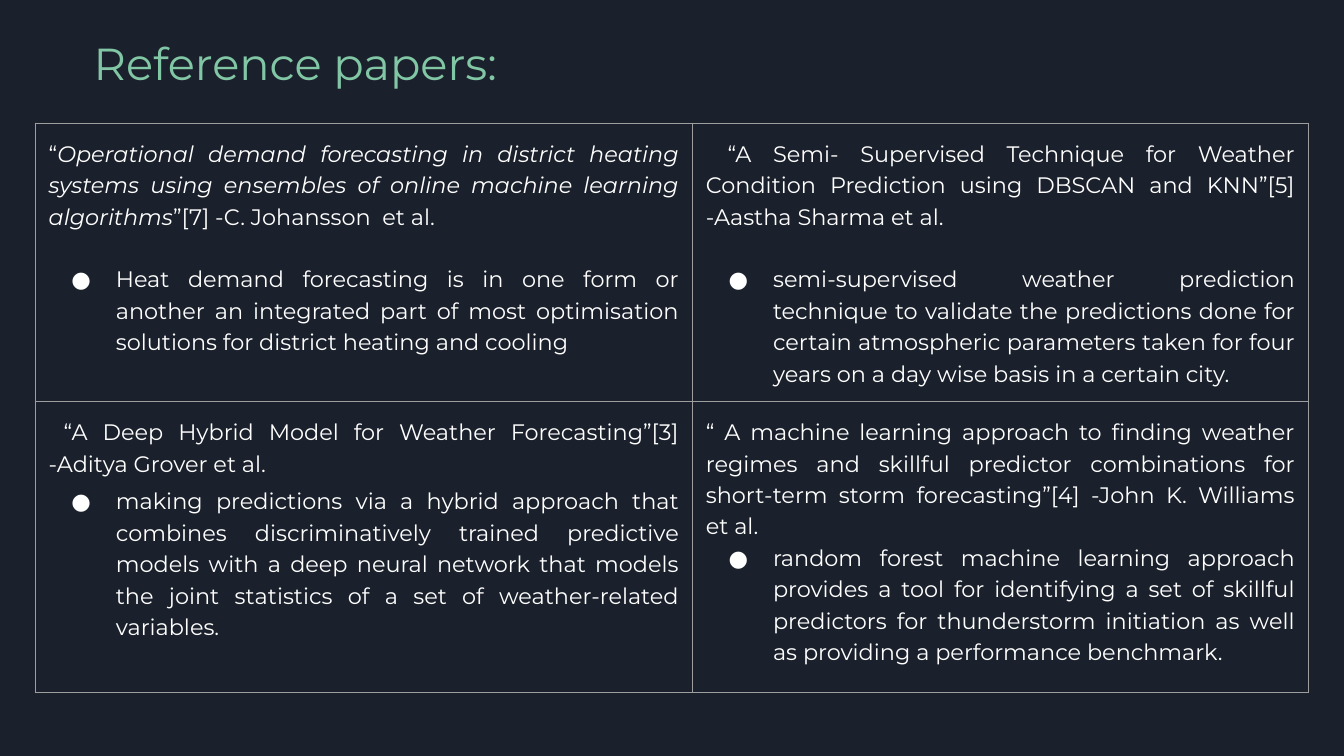
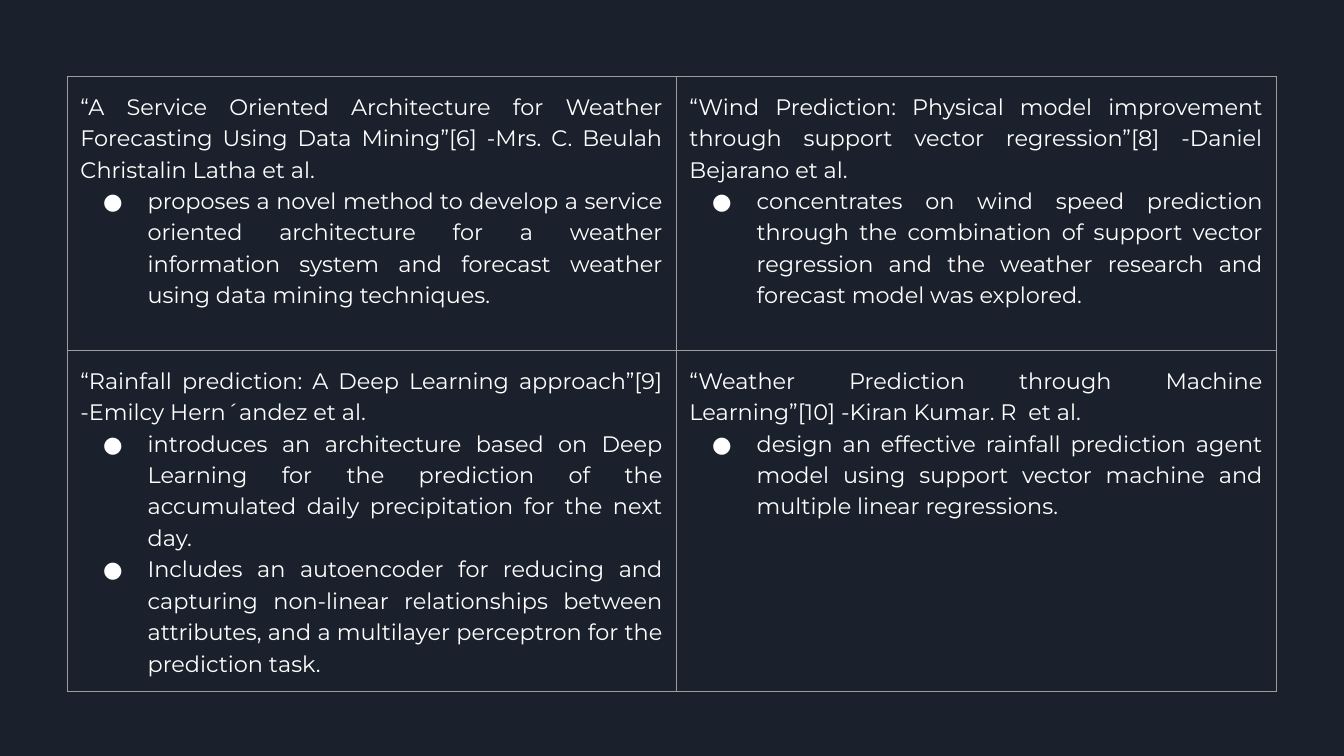
from dataclasses import dataclass

from pptx import Presentation
from pptx.dml.color import RGBColor
from pptx.enum.text import MSO_ANCHOR, PP_ALIGN
from pptx.oxml.ns import qn
from pptx.util import Cm, Pt
from lxml.etree import SubElement

FONT = "Montserrat"
BACKGROUND = "1B212C"
TITLE_COLOR = "82C7A5"
TEXT_COLOR = "FFFFFF"
BORDER_COLOR = "9E9E9E"
MARGIN = Cm(0.25)


@dataclass
class Paper:
    """A cited paper with its key points."""

    citation: str
    points: list
    italic_title: str = ""
    gap: float = 0


HEATING_TITLE = ("Operational demand forecasting in district heating systems using "
                 "ensembles of online machine learning algorithms")

FIRST_PAPERS = [
    [
        Paper(f"“{HEATING_TITLE}”[7] -C. Johansson  et al. ",
              ["Heat demand forecasting is in one form or another an integrated part of "
               "most optimisation solutions for district heating and cooling "],
              HEATING_TITLE, 16.8),
        Paper(" “A Semi- Supervised Technique for Weather Condition Prediction using "
              "DBSCAN and KNN”[5] -Aastha Sharma et al.",
              ["semi-supervised weather prediction technique to validate the predictions "
               "done for certain atmospheric parameters taken for four years on a day "
               "wise basis in a certain city."],
              gap=16.8),
    ],
    [
        Paper(" “A Deep Hybrid Model for Weather Forecasting”[3] -Aditya Grover et al.",
              ["making predictions via a hybrid approach that combines discriminatively "
               "trained predictive models with a deep neural network that models the "
               "joint statistics of a set of weather-related variables."],
              gap=3.5),
        Paper("“ A machine learning approach to finding weather regimes and skillful "
              "predictor combinations for short-term storm forecasting”[4] "
              "-John K. Williams et al.",
              ["random forest machine learning approach provides a tool for identifying "
               "a set of skillful predictors for thunderstorm initiation as well as "
               "providing a performance benchmark."]),
    ],
]

SECOND_PAPERS = [
    [
        Paper("“A Service Oriented Architecture for Weather Forecasting Using Data "
              "Mining”[6] -Mrs. C. Beulah Christalin Latha et al.",
              ["proposes a novel method to develop a service oriented architecture for a "
               "weather information system and forecast weather using data mining "
               "techniques."]),
        Paper("“Wind Prediction: Physical model improvement through support vector "
              "regression”[8] -Daniel Bejarano et al.",
              ["concentrates on wind speed prediction through the combination of support "
               "vector regression and the weather research and forecast model was "
               "explored."]),
    ],
    [
        Paper("“Rainfall prediction: A Deep Learning approach”[9] "
              "-Emilcy Hern´andez et al.",
              ["introduces an architecture based on Deep Learning for the prediction of "
               "the accumulated daily precipitation for the next day. ",
               "Includes an autoencoder for reducing and capturing non-linear "
               "relationships between attributes, and a multilayer perceptron for the "
               "prediction task."]),
        Paper("“Weather Prediction through Machine Learning”[10] "
              "-Kiran Kumar. R  et al.",
              ["design an effective rainfall prediction agent model using support vector "
               "machine and multiple linear regressions."]),
    ],
]


def color(hex_value):
    """Turn a hex string into a colour."""
    return RGBColor.from_string(hex_value)


def format_run(run, size, hex_value, italic=False):
    """Give a run the deck font, a size and a colour."""
    run.font.name = FONT
    run.font.size = Pt(size)
    run.font.italic = italic
    run.font.color.rgb = color(hex_value)


def set_margins(target):
    """Set equal inner margins on a cell or text frame."""
    target.margin_left = target.margin_right = MARGIN
    target.margin_top = target.margin_bottom = MARGIN


def add_solid_color(parent, hex_value):
    """Append an RGB colour element."""
    SubElement(parent, qn("a:srgbClr"), val=hex_value)


def add_borders(cell):
    """Draw a thin line on all four sides of a cell."""
    properties = cell._tc.get_or_add_tcPr()
    for side in ("lnL", "lnR", "lnT", "lnB"):
        line = SubElement(properties, qn(f"a:{side}"), w=str(Pt(0.75)))
        add_solid_color(SubElement(line, qn("a:solidFill")), BORDER_COLOR)


def add_bullet(paragraph):
    """Give a paragraph a hanging round bullet."""
    properties = paragraph._p.get_or_add_pPr()
    properties.set("marL", str(Cm(1.27)))
    properties.set("indent", str(Cm(-0.84)))
    add_solid_color(SubElement(properties, qn("a:buClr")), TEXT_COLOR)
    SubElement(properties, qn("a:buFont"), typeface=FONT)
    SubElement(properties, qn("a:buChar"), char="●")


def format_paragraph(paragraph):
    """Justify a cell paragraph and format its runs."""
    paragraph.alignment = PP_ALIGN.JUSTIFY
    paragraph.line_spacing = 1.15
    for run in paragraph.runs:
        format_run(run, 12, TEXT_COLOR)


def fill_cell(cell, paper):
    """Write a citation and its bulleted points into a cell."""
    set_margins(cell)
    add_borders(cell)
    cell.fill.background()
    citation = cell.text_frame.paragraphs[0]
    if paper.italic_title:
        for part in paper.citation.partition(paper.italic_title):
            citation.add_run().text = part
    else:
        citation.text = paper.citation
    format_paragraph(citation)
    for run in citation.runs:
        run.font.italic = run.text == paper.italic_title
    for point in paper.points:
        paragraph = cell.text_frame.add_paragraph()
        paragraph.text = point
        format_paragraph(paragraph)
        paragraph.space_before = Pt(paper.gap)
        add_bullet(paragraph)


def add_paper_table(slide, left, top, widths, heights, papers):
    """Add a bordered grid of papers; lengths are in centimetres."""
    table = slide.shapes.add_table(
        len(heights), len(widths), Cm(left), Cm(top),
        Cm(sum(widths)), Cm(sum(heights))).table
    table.first_row = table.horz_banding = False
    for column, width in zip(table.columns, widths):
        column.width = Cm(width)
    for row, height, row_papers in zip(table.rows, heights, papers):
        row.height = Cm(height)
        for cell, paper in zip(row.cells, row_papers):
            fill_cell(cell, paper)


def set_title(slide, text):
    """Place and format the slide title."""
    title = slide.shapes.title
    title.left, title.top = Cm(1.52), Cm(0.43)
    title.width, title.height = Cm(19.56), Cm(1.68)
    frame = title.text_frame
    frame.text = text
    frame.vertical_anchor = MSO_ANCHOR.TOP
    set_margins(frame)
    paragraph = frame.paragraphs[0]
    paragraph.alignment = PP_ALIGN.LEFT
    format_run(paragraph.runs[0], 24, TITLE_COLOR)


def main():
    """Build and save the two reference slides."""
    presentation = Presentation()
    presentation.slide_width, presentation.slide_height = Cm(25.4), Cm(14.29)
    background = presentation.slide_master.background.fill
    background.solid()
    background.fore_color.rgb = color(BACKGROUND)

    slide = presentation.slides.add_slide(presentation.slide_layouts[5])
    set_title(slide, "Reference papers:")
    add_paper_table(slide, 0.67, 2.33, (12.42, 11.64), (5.26, 5.5), FIRST_PAPERS)

    slide = presentation.slides.add_slide(presentation.slide_layouts[6])
    add_paper_table(slide, 1.27, 1.44, (11.51, 11.34), (5.18, 6.45), SECOND_PAPERS)

    presentation.save("out.pptx")


if __name__ == "__main__":
    main()
